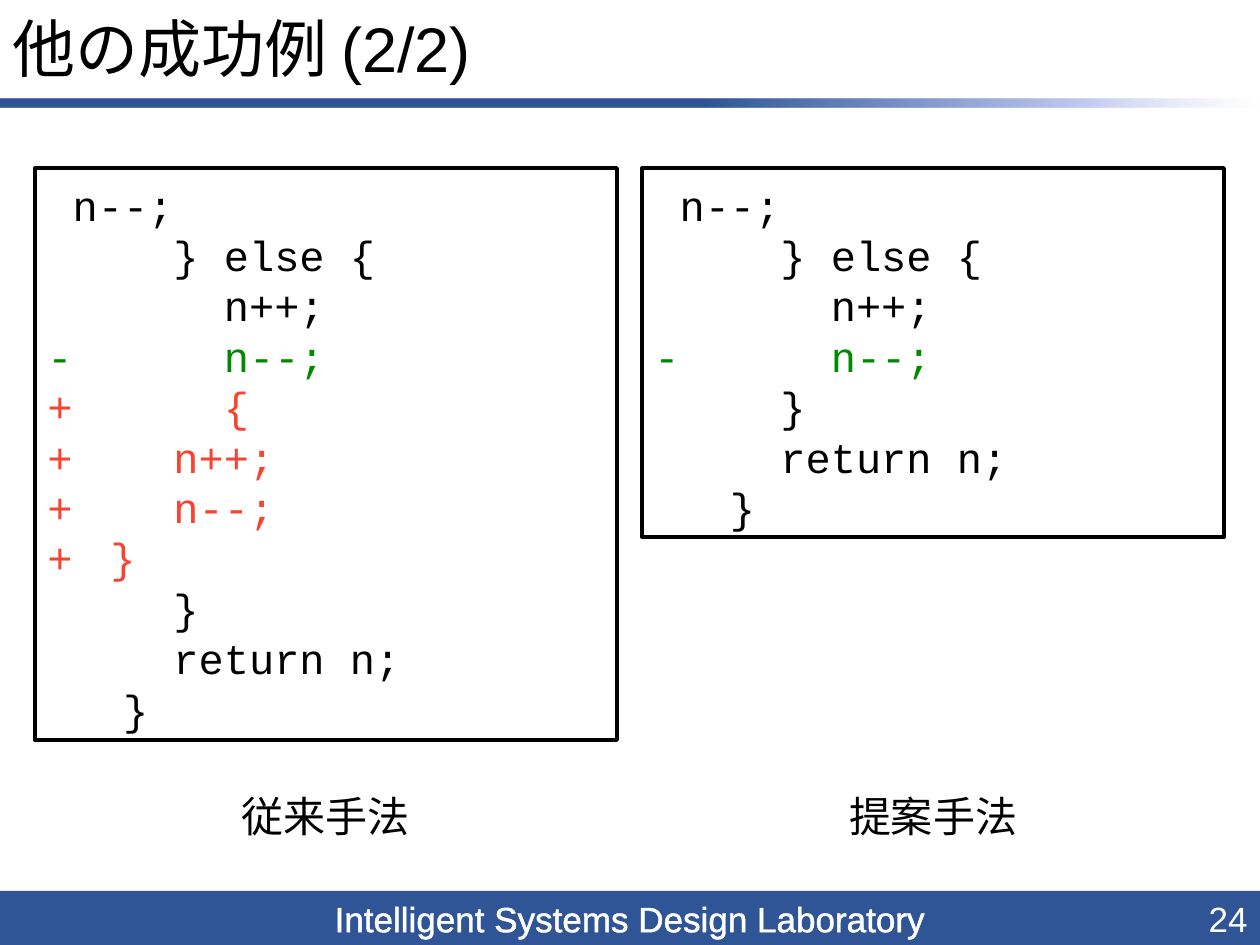
from pptx import Presentation
from pptx.dml.color import RGBColor
from pptx.enum.shapes import MSO_SHAPE
from pptx.enum.text import MSO_ANCHOR, MSO_AUTO_SIZE, PP_ALIGN
from pptx.oxml import parse_xml
from pptx.util import Pt

RECT = MSO_SHAPE.RECTANGLE
TOP, MIDDLE = MSO_ANCHOR.TOP, MSO_ANCHOR.MIDDLE
GROW = MSO_AUTO_SIZE.SHAPE_TO_FIT_TEXT
LEFT, CENTER, RIGHT = PP_ALIGN.LEFT, PP_ALIGN.CENTER, PP_ALIGN.RIGHT
NS = 'xmlns:a="http://schemas.openxmlformats.org/drawingml/2006/main"'

THEME = {
    "text": "000000", "band": "2F5597", "light": "FFFFFF",
    "cut": "008A00", "add": "F84330",
    "sans": "Arial", "mono": "Courier New",
    "title": 36, "body": 24, "foot": 20, "line": 28.8,
    "fade": [(56, "2F5597", 100), (86, "C0CBF0", 100), (100, "E0E5F7", 0)],
}

TITLE = "他の成功例 (2/2)"
FOOTER = "Intelligent Systems Design Laboratory"
NUMBER = "24"
HEAD = [" n--;", "     } else {", "       n++;", "-      n--;"]
ADDED = ["+      {", "+\t\tn++;", "+\t\tn--;", "+\t}"]
TAIL = ["     }", "     return n;", "   }"]
PANELS = [
    ("従来手法", HEAD + ADDED + TAIL, 572),
    ("提案手法", HEAD + TAIL, 369),
]
MARKS = {"-": "cut", "+": "add"}

WIDTH, HEIGHT = 1260, 945
PANEL_LEFT, PANEL_TOP, PANEL_WIDTH, PANEL_STEP = 35, 168, 582, 607
LABEL_TOP, LABEL_WIDTH, LABEL_HEIGHT = 784, 195, 63
FOOT_TOP = 891
TAB = 63


def px(n):
    return round(n * 914400 / 126)


def color(name):
    return RGBColor.from_string(THEME[name])


def write(shape, lines, size, tone="text", font="sans", align=LEFT, anchor=TOP, wrap=True):
    frame = shape.text_frame
    frame.text = "\n".join(lines)
    frame.word_wrap = wrap
    frame.vertical_anchor = anchor
    for para in frame.paragraphs:
        para.alignment = align
        for run in para.runs:
            run.font.name = THEME[font]
            run.font.size = Pt(THEME[size])
            run.font.color.rgb = color(MARKS.get(run.text[0], tone) if font == "mono" else tone)
    return frame


def label(slide, place, words, size, **style):
    box = slide.shapes.add_textbox(*map(px, place))
    return write(box, [words], size, **style)


def rect(slide, place):
    shape = slide.shapes.add_shape(RECT, *map(px, place))
    shape.shadow.inherit = False
    shape.fill.background()
    shape.line.fill.background()
    return shape


def fade(shape):
    stops = "".join(
        f'<a:gs pos="{pos * 1000}"><a:srgbClr val="{tone}">'
        f'<a:alpha val="{alpha * 1000}"/></a:srgbClr></a:gs>'
        for pos, tone, alpha in THEME["fade"])
    grad = parse_xml(f'<a:gradFill {NS} rotWithShape="1"><a:gsLst>{stops}</a:gsLst>'
                     '<a:lin ang="0" scaled="0"/></a:gradFill>')
    props = shape.element.spPr
    props.replace(props.find("{*}noFill"), grad)


def outline(run, tone):
    props = run.font._element
    props.insert(0, parse_xml(
        f'<a:ln {NS} w="{Pt(0.75)}"><a:solidFill><a:srgbClr val="{THEME[tone]}"/>'
        '</a:solidFill></a:ln>'))


def panel(slide, left, name, code, height):
    box = rect(slide, (left, PANEL_TOP, PANEL_WIDTH, height))
    box.line.color.rgb = color("text")
    box.line.width = Pt(2.25)
    frame = write(box, code, "body", font="mono")
    frame.margin_top = px(11)
    for para in frame.paragraphs:
        para.line_spacing = Pt(THEME["line"])
        if "\t" in para.text:
            stops = "".join(f'<a:tab pos="{px(TAB * n)}" algn="l"/>' for n in (1, 2))
            para._p.get_or_add_pPr().append(parse_xml(f'<a:tabLst {NS}>{stops}</a:tabLst>'))
    middle = left + (PANEL_WIDTH - LABEL_WIDTH) / 2
    place = (middle, LABEL_TOP, LABEL_WIDTH, LABEL_HEIGHT)
    label(slide, place, name, "body", align=CENTER, wrap=False).auto_size = GROW


deck = Presentation()
deck.slide_width, deck.slide_height = px(WIDTH), px(HEIGHT)
slide = deck.slides.add_slide(deck.slide_layouts[6])

footer = rect(slide, (0, FOOT_TOP, WIDTH, HEIGHT - FOOT_TOP))
footer.fill.solid()
footer.fill.fore_color.rgb = color("band")
frame = write(footer, [FOOTER], "foot", tone="light", align=CENTER)
outline(frame.paragraphs[0].runs[0], "light")

fade(rect(slide, (0, 99, WIDTH, 8)))
frame = label(slide, (0, 6, WIDTH, 93), TITLE, "title", anchor=MIDDLE)
frame.paragraphs[0].line_spacing = 0.9
label(slide, (976, FOOT_TOP, 284, 54), NUMBER, "foot",
      tone="light", align=RIGHT, anchor=MIDDLE)

for i, (name, code, height) in enumerate(PANELS):
    panel(slide, PANEL_LEFT + i * PANEL_STEP, name, code, height)

deck.save("out.pptx")
